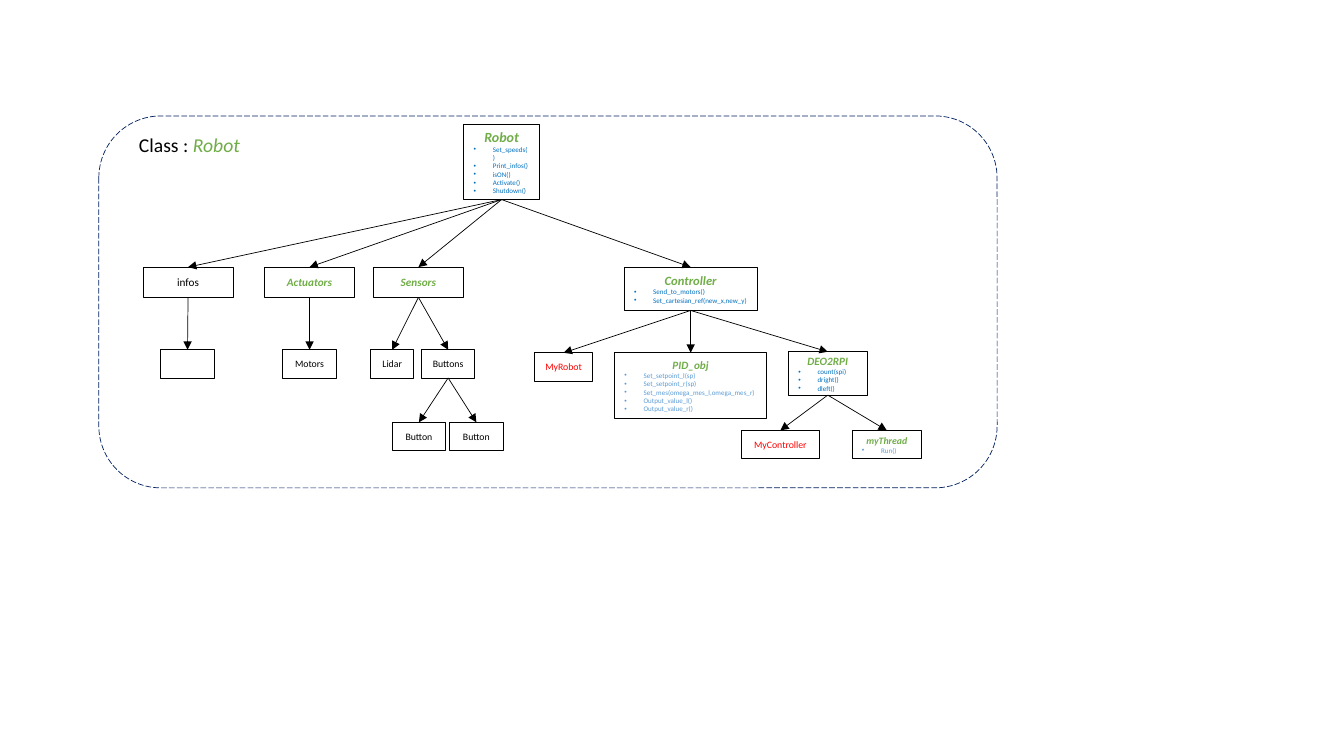
from dataclasses import dataclass
from lxml.etree import SubElement
from pptx import Presentation
from pptx.dml.color import RGBColor
from pptx.enum.dml import MSO_LINE
from pptx.enum.shapes import MSO_CONNECTOR, MSO_SHAPE
from pptx.enum.text import MSO_ANCHOR, MSO_AUTO_SIZE, PP_ALIGN
from pptx.oxml.ns import qn
from pptx.util import Inches, Pt

BLACK = RGBColor(0x00, 0x00, 0x00)
WHITE = RGBColor(0xFF, 0xFF, 0xFF)
GREEN = RGBColor(0x70, 0xAD, 0x47)
BLUE = RGBColor(0x00, 0x70, 0xC0)
SKY = RGBColor(0x5B, 0x9B, 0xD5)
RED = RGBColor(0xFF, 0x00, 0x00)
NAVY = RGBColor(0x00, 0x20, 0x60)
BOTTOM, TOP = 2, 0


@dataclass
class Node:
    name: str
    centre: float
    row: float
    width: float
    height: float
    size: float = 7
    color: RGBColor = BLACK
    methods: tuple = ()
    method_color: RGBColor = BLUE
    children: tuple = ()


def leaf(name, centre, row, width, **options):
    return Node(name, centre, row, width, 2.8, **options)


def member(name, centre, color, children):
    return Node(name, centre, 26.5, 8.9, 3, size=8, color=color, children=children)


def write_text(para, text, font="Calibri", size=7, color=BLACK, bold=False, italic=False):
    span = para.add_run()
    span.text = text
    span.font.name = font
    span.font.size = Pt(size)
    span.font.color.rgb = color
    span.font.bold = bold
    span.font.italic = italic


class Diagram:
    cell = 0.1
    line_width = Pt(0.5)
    indent = Inches(0.19)

    def __init__(self, page):
        self.page = page

    def place(self, *cells):
        return [Inches(count * self.cell) for count in cells]

    def shape(self, kind, column, row, width, height, line=BLACK, fill=None):
        box = self.page.shapes.add_shape(kind, *self.place(column, row, width, height))
        box.shadow.inherit = False
        box.line.color.rgb = line
        box.line.width = self.line_width
        if fill is None:
            box.fill.background()
        else:
            box.fill.solid()
            box.fill.fore_color.rgb = fill
        return box

    def frame(self, *area):
        box = self.shape(MSO_SHAPE.ROUNDED_RECTANGLE, *area, line=NAVY)
        box.line.dash_style = MSO_LINE.LONG_DASH

    def title(self, column, row, width, height, label, name):
        box = self.page.shapes.add_textbox(*self.place(column, row, width, height))
        box.text_frame.word_wrap = True
        box.text_frame.auto_size = MSO_AUTO_SIZE.SHAPE_TO_FIT_TEXT
        para = box.text_frame.paragraphs[0]
        write_text(para, label, size=14)
        write_text(para, name, size=14, color=GREEN, italic=True)

    def bullet(self, frame, text, color):
        para = frame.add_paragraph()
        para.alignment = PP_ALIGN.LEFT
        write_text(para, text, size=5, color=color)
        properties = para._p.get_or_add_pPr()
        properties.set("marL", str(self.indent))
        properties.set("indent", str(-self.indent))
        SubElement(properties, qn("a:buFont")).set("typeface", "Arial")
        SubElement(properties, qn("a:buChar")).set("char", "•")

    def node(self, node, depth):
        box = self.shape(MSO_SHAPE.RECTANGLE, node.centre - node.width / 2, node.row,
                         node.width, node.height, fill=WHITE if depth > 1 else None)
        frame = box.text_frame
        frame.word_wrap = True
        frame.vertical_anchor = MSO_ANCHOR.MIDDLE
        if node.name:
            para = frame.paragraphs[0]
            para.alignment = PP_ALIGN.CENTER
            strong = node.color == GREEN
            write_text(para, node.name, size=node.size, color=node.color,
                       bold=strong, italic=strong)
        for method in node.methods:
            self.bullet(frame, method, node.method_color)
        return box

    def arrow(self, parent, child):
        link = self.page.shapes.add_connector(MSO_CONNECTOR.STRAIGHT, 0, 0, 0, 0)
        link.begin_connect(parent, BOTTOM)
        link.end_connect(child, TOP)
        link.line.color.rgb = BLACK
        link.line.width = self.line_width
        SubElement(link.line._get_or_add_ln(), qn("a:tailEnd")).set("type", "triangle")
        SubElement(link._element.spPr, qn("a:effectLst"))

    def tree(self, node, depth=0):
        box = self.node(node, depth)
        for child in node.children:
            self.arrow(box, self.tree(child, depth + 1))
        return box


BUTTONS = leaf("Buttons", 44.45, 34.7, 5.3, children=(
    leaf("Button", 41.55, 41.9, 5.3),
    leaf("Button", 47.25, 41.9, 5.3),
))
PID = Node("PID_obj", 68.5, 35, 15.1, 6.5, size=8, color=GREEN, method_color=SKY, methods=(
    "Set_setpoint_l(sp)", "Set_setpoint_r(sp)", "Set_mes(omega_mes_l,omega_mes_r)",
    "Output_value_l()", "Output_value_r()"))
BRIDGE = Node("DEO2RPI", 82.1, 34.9, 7.8, 4.3, size=8, color=GREEN,
              methods=("count(spi)", "dright()", "dleft()"), children=(
                  leaf("MyController", 77.4, 42.7, 7.8, color=RED),
                  leaf("myThread", 87.95, 42.7, 6.9, color=GREEN,
                       methods=("Run()",), method_color=SKY)))
CONTROLLER = Node("Controller", 68.5, 26.5, 13.2, 4.3, size=9, color=GREEN,
                  methods=("Send_to_motors()", "Set_cartesian_ref(new_x,new_y)"),
                  children=(leaf("MyRobot", 55.9, 35, 5.8, color=RED), PID, BRIDGE))
ROBOT = Node("Robot", 49.75, 12.3, 7.5, 7.5, size=10, color=GREEN, methods=(
    "Set_speeds()", "Print_infos()", "isON()", "Activate()", "Shutdown()"), children=(
        member("infos", 18.65, BLACK, (leaf("", 18.6, 34.7, 5.4),)),
        member("Actuators", 30.7, GREEN, (leaf("Motors", 30.7, 34.7, 5.4),)),
        member("Sensors", 41.5, GREEN, (leaf("Lidar", 38.9, 34.7, 4.3), BUTTONS)),
        CONTROLLER))


def main():
    deck = Presentation()
    deck.slide_width, deck.slide_height = Inches(13.33), Inches(7.5)
    diagram = Diagram(deck.slides.add_slide(deck.slide_layouts[6]))
    diagram.frame(9.8, 11.5, 89.1, 36.9)
    diagram.title(12.8, 12.7, 18.4, 3.4, "Class : ", "Robot")
    diagram.tree(ROBOT)
    deck.save("out.pptx")


if __name__ == "__main__":
    main()
